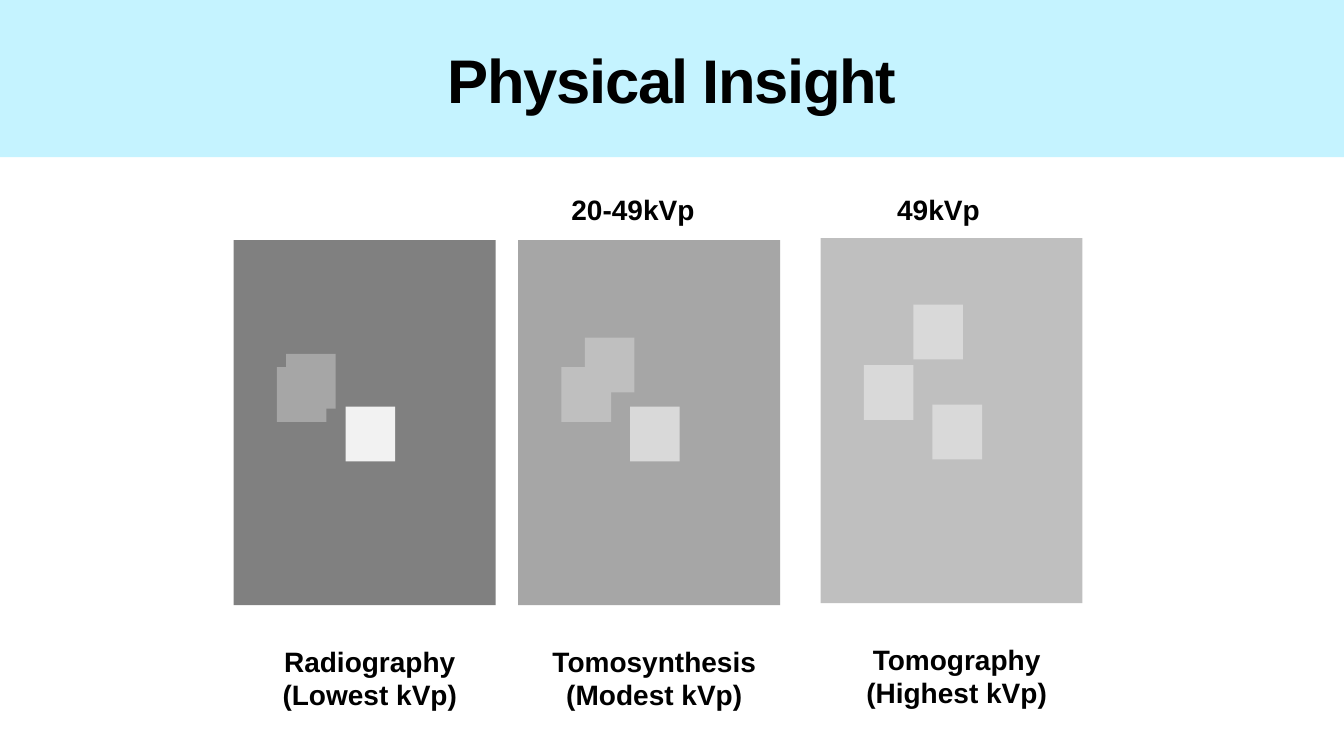
from pptx import Presentation
from pptx.dml.color import RGBColor
from pptx.enum.shapes import MSO_SHAPE
from pptx.enum.text import MSO_ANCHOR, PP_ALIGN
from pptx.util import Cm, Pt

COLORS = {
    "banner": "C5F3FF",
    "text": "000000",
    "dark": "808080",
    "medium": "A6A6A6",
    "soft": "BFBFBF",
    "light": "D9D9D9",
    "bright": "F2F2F2",
}
FONT = "Arial"
PAGE_WIDTH, PAGE_HEIGHT = 33.87, 19.05
PANEL_WIDTH, PANEL_HEIGHT = 6.6, 9.2
BLOCK_WIDTH, BLOCK_HEIGHT = 1.25, 1.38
LEFT_BLOCK, RIGHT_BLOCK = (1.09, 3.2), (2.82, 4.2)
HEADING_TOP = 4.72

PANELS = [
    {"box": (5.89, 6.05), "fill": "dark", "moving": (1.32, 2.87),
     "pair": "medium", "single": "bright", "heading": None,
     "caption": ["Radiography", "(Lowest kVp)"]},
    {"box": (13.06, 6.05), "fill": "medium", "moving": (1.68, 2.46),
     "pair": "soft", "single": "light", "heading": ("20-49kVp", 1.09, 3.63),
     "caption": ["Tomosynthesis", "(Modest kVp)"]},
    {"box": (20.68, 6.0), "fill": "soft", "moving": (2.34, 1.68),
     "pair": "light", "single": "light", "heading": ("49kVp", 1.68, 2.62),
     "caption": ["Tomography", "(Highest kVp)"]},
]


def add_block(page, left, top, width, height, color):
    block = page.shapes.add_shape(
        MSO_SHAPE.RECTANGLE, Cm(left), Cm(top), Cm(width), Cm(height))
    block.shadow.inherit = False
    block.fill.solid()
    block.fill.fore_color.rgb = RGBColor.from_string(COLORS[color])
    block.line.fill.background()
    return block


def write_lines(frame, lines, size, align):
    for index, line in enumerate(lines):
        para = frame.paragraphs[0] if index == 0 else frame.add_paragraph()
        para.alignment = align
        span = para.add_run()
        span.text = line
        span.font.name = FONT
        span.font.size = Pt(size)
        span.font.bold = True
        span.font.color.rgb = RGBColor.from_string(COLORS["text"])


def add_label(page, left, top, width, height, lines, align, anchor, wrap):
    box = page.shapes.add_textbox(Cm(left), Cm(top), Cm(width), Cm(height))
    box.text_frame.word_wrap = wrap
    box.text_frame.vertical_anchor = anchor
    write_lines(box.text_frame, lines, 20, align)


def add_banner(page, left, top, width, height):
    banner = add_block(page, left, top, width, height, "banner")
    frame = banner.text_frame
    frame.vertical_anchor = MSO_ANCHOR.MIDDLE
    write_lines(frame, ["Physical Insight"], 44, PP_ALIGN.CENTER)
    frame.paragraphs[0].runs[0].font._element.set("spc", "-100")


def add_panel(page, left, top, panel):
    add_block(page, left, top, PANEL_WIDTH, PANEL_HEIGHT, panel["fill"])
    blocks = [(LEFT_BLOCK, "pair"), (panel["moving"], "pair"), (RIGHT_BLOCK, "single")]
    for (across, down), role in blocks:
        add_block(page, left + across, top + down,
                  BLOCK_WIDTH, BLOCK_HEIGHT, panel[role])
    add_label(page, left, top + 10.46, 6.86, 1.14, panel["caption"],
              PP_ALIGN.CENTER, MSO_ANCHOR.MIDDLE, True)
    if panel["heading"]:
        heading, indent, width = panel["heading"]
        add_label(page, left + indent, HEADING_TOP, width, 1.12, [heading],
                  PP_ALIGN.LEFT, MSO_ANCHOR.TOP, False)


def main():
    deck = Presentation()
    deck.slide_width, deck.slide_height = Cm(PAGE_WIDTH), Cm(PAGE_HEIGHT)
    page = deck.slides.add_slide(deck.slide_layouts[6])
    add_banner(page, 0, 0, PAGE_WIDTH, 3.96)
    for panel in PANELS:
        add_panel(page, *panel["box"], panel)
    deck.save("out.pptx")


if __name__ == "__main__":
    main()
